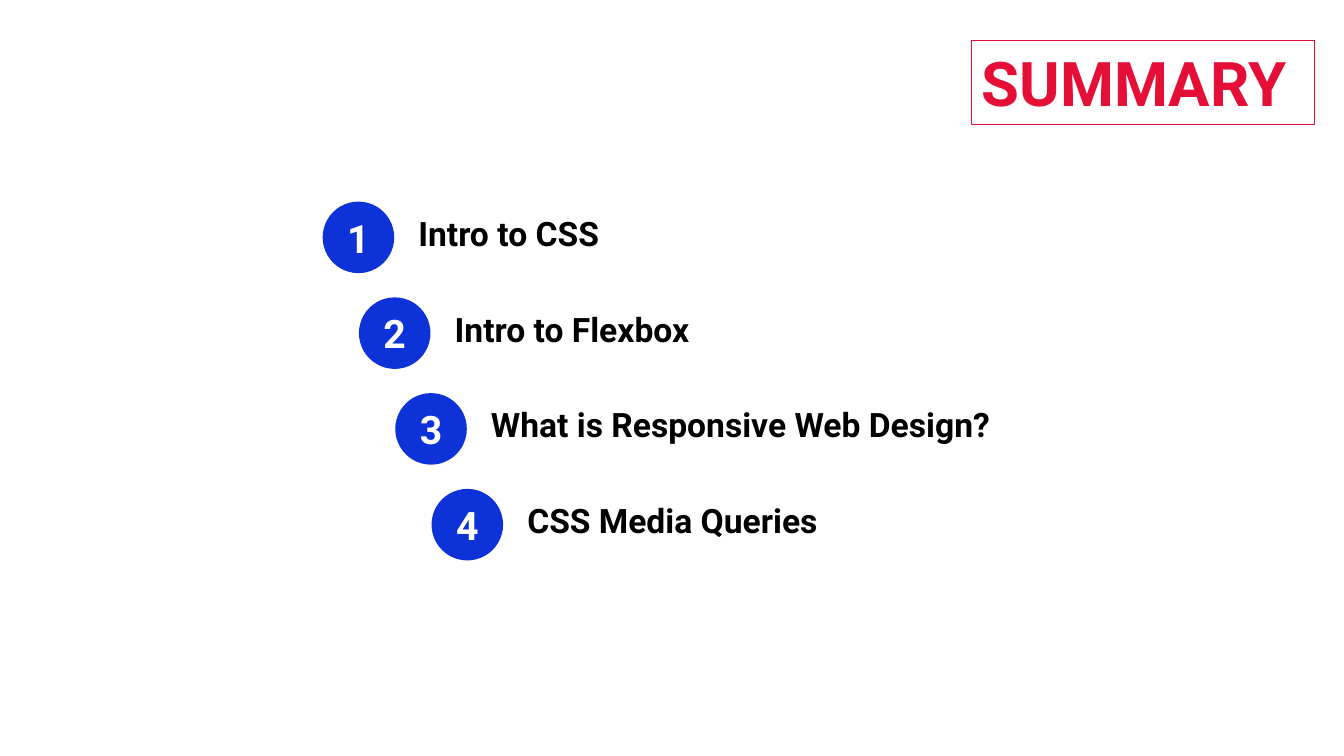
from dataclasses import dataclass

from pptx import Presentation
from pptx.dml.color import RGBColor
from pptx.enum.shapes import MSO_SHAPE
from pptx.enum.text import MSO_ANCHOR, MSO_AUTO_SIZE, PP_ALIGN
from pptx.util import Pt

PX = 9144  # EMU, 100 px to the inch
OVAL, RECT = MSO_SHAPE.OVAL, MSO_SHAPE.RECTANGLE
TOP, MIDDLE = MSO_ANCHOR.TOP, MSO_ANCHOR.MIDDLE
LEFT, CENTER = PP_ALIGN.LEFT, PP_ALIGN.CENTER
GROW = MSO_AUTO_SIZE.SHAPE_TO_FIT_TEXT


@dataclass(frozen=True)
class Theme:
    font: str = "Roboto"
    red: RGBColor = RGBColor(0xE5, 0x0E, 0x37)
    blue: RGBColor = RGBColor(0x0D, 0x32, 0xD8)
    white: RGBColor = RGBColor(0xFF, 0xFF, 0xFF)
    black: RGBColor = RGBColor(0, 0, 0)
    title: int = 44
    number: int = 28
    topic: int = 24


THEME = Theme()
TOPICS = (
    "Intro to CSS",
    "Intro to Flexbox",
    "What is Responsive Web Design?",
    "CSS Media Queries",
)


def emu(*sizes):
    return [size * PX for size in sizes]


def write(shape, text, size, color, pad, align=LEFT, anchor=TOP):
    """Fill a shape with one bold line; pad is (side, top) in px."""
    frame = shape.text_frame
    frame.word_wrap = True
    frame.vertical_anchor = anchor
    side, top = emu(*pad)
    frame.margin_left = frame.margin_right = side
    frame.margin_top = frame.margin_bottom = top
    para = frame.paragraphs[0]
    para.text = text
    para.alignment = align
    font = para.font
    font.name, font.size, font.bold = THEME.font, Pt(size), True
    font.color.rgb = color


def add_title(slide, box, text):
    frame = slide.shapes.add_shape(RECT, *emu(*box))
    frame.shadow.inherit = False
    frame.fill.background()
    frame.line.color.rgb = THEME.red
    frame.line.width = Pt(0.75)
    write(frame, text, THEME.title, THEME.red, (10, 5))
    frame.text_frame.auto_size = GROW


def add_topic(slide, box, number, text):
    """Group a numbered disc with its label to the right."""
    x, y, width, height = box
    group = slide.shapes.add_group_shape()
    gap = 11
    left = x + height + gap
    label = group.shapes.add_textbox(*emu(left, y - 2, width - height - gap, 75))
    write(label, text, THEME.topic, THEME.black, (13, 13))
    disc = group.shapes.add_shape(OVAL, *emu(x, y, height, height))
    disc.shadow.inherit = False
    disc.fill.solid()
    disc.fill.fore_color.rgb = THEME.blue
    disc.line.fill.background()
    write(disc, str(number), THEME.number, THEME.white, (13, 13), CENTER, MIDDLE)


def add_stairs(slide, box, topics):
    """Step the topics down and to the right from the box's corner."""
    x, y, width, height = box
    disc, shift = 71, 36
    step = (height - disc) // (len(topics) - 1)
    row = width - shift * (len(topics) - 1)
    for i, text in enumerate(topics):
        add_topic(slide, (x + i * shift, y + i * step, row, disc), i + 1, text)


def main():
    deck = Presentation()
    deck.slide_width, deck.slide_height = emu(1333, 750)
    slide = deck.slides.add_slide(deck.slide_layouts[6])
    add_stairs(slide, (320, 200, 813, 356), TOPICS)
    add_title(slide, (964, 40, 340, 84), "SUMMARY")
    deck.save("out.pptx")


if __name__ == "__main__":
    main()
